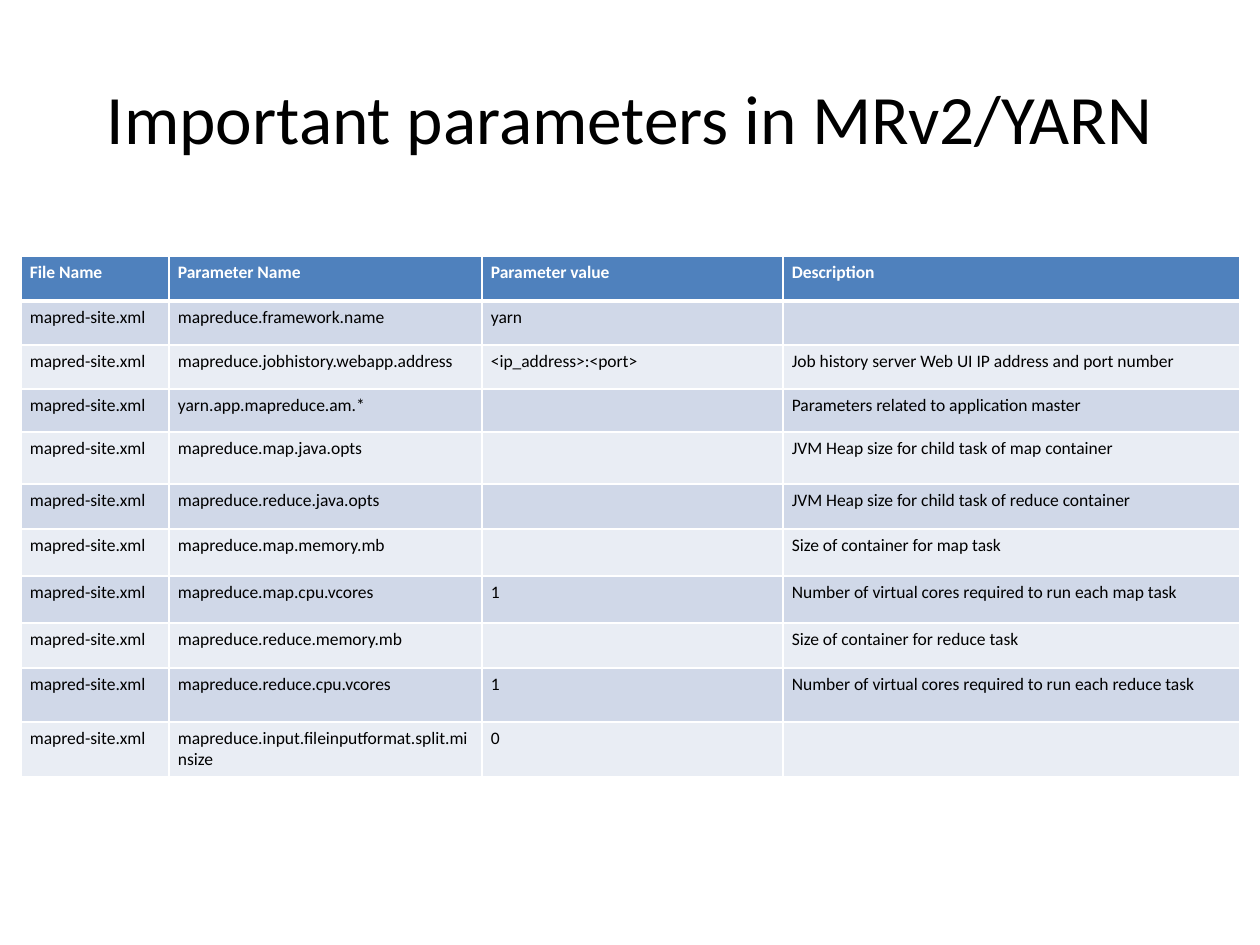
from lxml import etree
from pptx import Presentation
from pptx.dml.color import RGBColor
from pptx.enum.text import MSO_ANCHOR, PP_ALIGN
from pptx.oxml.ns import qn
from pptx.util import Pt

CENTER = PP_ALIGN.CENTER
MIDDLE, TOP = MSO_ANCHOR.MIDDLE, MSO_ANCHOR.TOP
BLACK = RGBColor(0x00, 0x00, 0x00)
WHITE = RGBColor(0xFF, 0xFF, 0xFF)
HEADER = RGBColor(0x4F, 0x81, 0xBD)
BANDS = [RGBColor(0xE9, 0xED, 0xF4), RGBColor(0xD0, 0xD8, 0xE8)]
PX_PER_INCH = 126


def px(n):
    return round(n * 914400 / PX_PER_INCH)


def write(p, text, size, color, bold=False):
    r = p.add_run()
    r.text = text
    for name, value in {"name": "Calibri", "size": Pt(size), "bold": bold}.items():
        setattr(r.font, name, value)
    r.font.color.rgb = color


prs = Presentation()
prs.slide_width, prs.slide_height = px(1260), px(945)
slide = prs.slides.add_slide(prs.slide_layouts[6])

# Title
sp = slide.shapes.add_textbox(px(63), px(38), px(1134), px(158))
tf = sp.text_frame
tf.word_wrap = True
tf.vertical_anchor = MIDDLE
tf.paragraphs[0].alignment = CENTER
write(tf.paragraphs[0], "Important parameters in MRv2/YARN", 39.6, BLACK)

# Table content: parameter, value, description
FILE = "mapred-site.xml"
params = [
    ("mapreduce.framework.name", "yarn", ""),
    ("mapreduce.jobhistory.webapp.address", "<ip_address>:<port>",
     "Job history server Web UI IP address and port number"),
    ("yarn.app.mapreduce.am.*", "", "Parameters related to application master"),
    ("mapreduce.map.java.opts", "", "JVM Heap size for child task of map container"),
    ("mapreduce.reduce.java.opts", "", "JVM Heap size for child task of reduce container"),
    ("mapreduce.map.memory.mb", "", "Size of container for map task"),
    ("mapreduce.map.cpu.vcores", "1",
     "Number of virtual cores required to run each map task"),
    ("mapreduce.reduce.memory.mb", "", "Size of container for reduce task"),
    ("mapreduce.reduce.cpu.vcores", "1",
     "Number of virtual cores required to run each reduce task"),
    ("mapreduce.input.fileinputformat.split.minsize", "0", ""),
]
rows = [("File Name", "Parameter Name", "Parameter value", "Description")]
rows += [(FILE, *param) for param in params]
widths = [148, 313, 301, 457]
heights = [45, 44, 44, 43, 52, 45, 47, 47, 45, 54, 55]

# Table grid
frame = slide.shapes.add_table(len(rows), len(widths), px(21), px(256),
                               px(sum(widths)), px(sum(heights)))
table = frame.table
for col, width in zip(table.columns, widths):
    col.width = px(width)
for row, height in zip(table.rows, heights):
    row.height = px(height)

# Cells
cell_format = {"margin_left": px(9), "margin_right": px(9), "margin_top": px(6),
               "margin_bottom": px(6), "vertical_anchor": TOP}
for i, texts in enumerate(rows):
    head = i == 0
    for j, text in enumerate(texts):
        cell = table.cell(i, j)
        for name, value in cell_format.items():
            setattr(cell, name, value)

        # White borders, thick between the header and the body
        tcPr = cell._tc.get_or_add_tcPr()
        thick = {"lnB": head, "lnT": i == 1}
        for side in ("lnL", "lnR", "lnT", "lnB"):
            ln = etree.SubElement(tcPr, qn("a:" + side),
                                  w=str(Pt(3 if thick.get(side) else 1)))
            fill = etree.SubElement(ln, qn("a:solidFill"))
            etree.SubElement(fill, qn("a:srgbClr"), val=str(WHITE))
        cell.fill.solid()
        cell.fill.fore_color.rgb = HEADER if head else BANDS[i % 2]

        p = cell.text_frame.paragraphs[0]
        if text:
            write(p, text, 10, WHITE if head else BLACK, head)
        else:
            # Keeps an empty cell from stretching its row
            etree.SubElement(p._p, qn("a:endParaRPr"), sz="1000")

prs.save("out.pptx")
